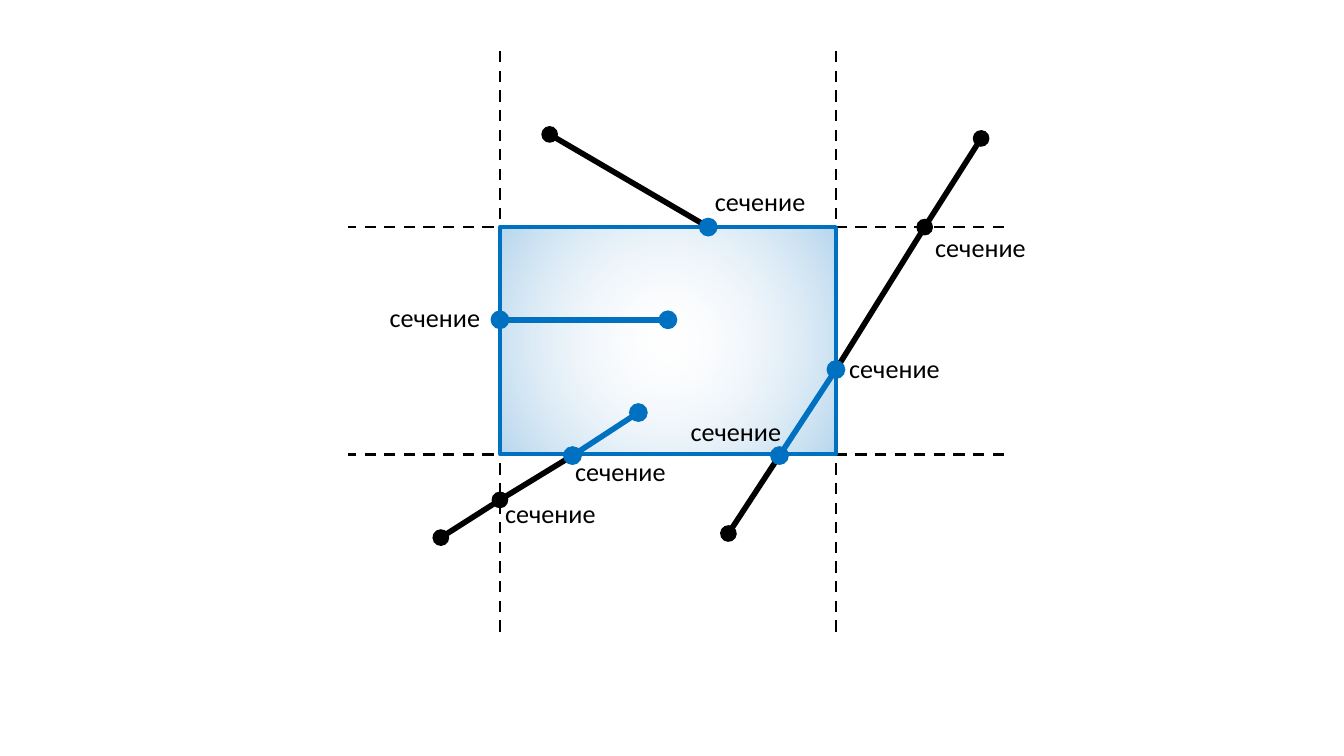
from lxml.etree import SubElement
from pptx import Presentation
from pptx.dml.color import RGBColor
from pptx.enum.dml import MSO_LINE
from pptx.enum.shapes import MSO_CONNECTOR, MSO_SHAPE
from pptx.enum.text import MSO_AUTO_SIZE
from pptx.oxml.ns import qn
from pptx.util import Inches, Pt

COLORS = {"black": "000000", "blue": "0070C0", "pale": "E1E8F5"}
FONT = "Calibri"
DOT = 0.14


def color(name):
    return RGBColor.from_string(COLORS[name])


def add_line(slide, start, end, tint="black", width=3, oval=True, dash=False):
    line = slide.shapes.add_connector(
        MSO_CONNECTOR.STRAIGHT, *map(Inches, (*start, *end)))
    line.line.color.rgb = color(tint)
    line.line.width = Pt(width)
    if dash:
        line.line.dash_style = MSO_LINE.DASH
    if oval:
        ln = line.line._get_or_add_ln()
        for tag in ("a:headEnd", "a:tailEnd"):
            SubElement(ln, qn(tag), type="oval")
    SubElement(line._element.spPr, qn("a:effectLst"))


def add_dot(slide, x, y):
    dot = slide.shapes.add_shape(
        MSO_SHAPE.OVAL, Inches(x - DOT / 2), Inches(y - DOT / 2),
        Inches(DOT), Inches(DOT))
    dot.shadow.inherit = False
    dot.fill.solid()
    dot.fill.fore_color.rgb = color("blue")
    dot.line.fill.background()


def add_label(slide, x, y):
    label = slide.shapes.add_textbox(
        Inches(x), Inches(y), Inches(0.88), Inches(0.34))
    frame = label.text_frame
    frame.word_wrap = False
    frame.auto_size = MSO_AUTO_SIZE.SHAPE_TO_FIT_TEXT
    run = frame.paragraphs[0].add_run()
    run.text = "сечение"
    run.font.size = Pt(14)
    run.font.name = FONT
    run.font.color.rgb = color("black")


def add_guides(slide, x, y, w, h):
    """Extend the four window edges with dashed lines."""
    for edge in (x, x + w):
        add_line(slide, (edge, y - 1.31), (edge, y + h + 1.34),
                 width=1.5, oval=False, dash=True)
    for edge in (y + h, y):
        add_line(slide, (x + w + 1.25, edge), (x - 1.13, edge),
                 width=1.5, oval=False, dash=True)


def add_window(slide, x, y, w, h):
    """Draw the clipping window, clear in the middle and bluer outwards."""
    window = slide.shapes.add_shape(
        MSO_SHAPE.RECTANGLE, *map(Inches, (x, y, w, h)))
    window.shadow.inherit = False
    window.line.color.rgb = color("blue")
    window.line.width = Pt(2.25)
    window.fill.gradient()
    grad = window.fill._fill._gradFill
    for child in list(grad):
        grad.remove(child)
    stops = SubElement(grad, qn("a:gsLst"))
    for pos, tint, alpha in ((0, "pale", 0), (100, "blue", 29)):
        stop = SubElement(stops, qn("a:gs"), pos=str(pos * 1000))
        rgb = SubElement(stop, qn("a:srgbClr"), val=COLORS[tint])
        SubElement(rgb, qn("a:alpha"), val=str(alpha * 1000))
    circle = SubElement(grad, qn("a:path"))
    circle.set("path", "circle")
    SubElement(circle, qn("a:fillToRect"),
               {side: "50000" for side in "ltrb"})


def add_clipping(slide, x, y, w, h):
    """Draw the window, the cut segments and their labels."""
    def at(dx, dy):
        return x + dx, y + dy

    top = at(1.55, 0)
    left = at(0, 0.69)
    inner = at(1.25, 0.69)
    right = at(w, 1.06)
    low_right = at(2.08, h + 0.01)
    low_left = at(0.54, h + 0.01)
    low_inner = at(1.03, 1.38)
    over = at(3.16, 0)
    under = at(0, 2.03)

    add_line(slide, at(3.58, -0.66), over)
    add_line(slide, low_right, at(1.7, 2.28))
    add_guides(slide, x, y, w, h)
    add_window(slide, x, y, w, h)
    add_line(slide, right, low_right, "blue")
    add_line(slide, inner, left, "blue")
    add_line(slide, under, at(-0.44, 2.31))
    add_line(slide, top, at(0.37, -0.69))
    add_line(slide, low_left, under, oval=False)
    add_line(slide, low_inner, low_left, "blue")
    add_line(slide, over, right, oval=False)
    for spot in (top, left, inner, low_inner, low_left, low_right, right):
        add_dot(slide, *spot)
    for spot in ((3.14, -0.02), (2.5, 0.88), (1.32, 1.35), (0.46, 1.65),
                 (-0.06, 1.96), (-0.92, 0.5), (1.5, -0.36)):
        add_label(slide, *at(*spot))


def main():
    deck = Presentation()
    deck.slide_width = Inches(10)
    deck.slide_height = deck.slide_width * 9 // 16
    slide = deck.slides.add_slide(deck.slide_layouts[6])
    add_clipping(slide, 3.72, 1.69, 2.5, 1.69)
    deck.save("out.pptx")


if __name__ == "__main__":
    main()
